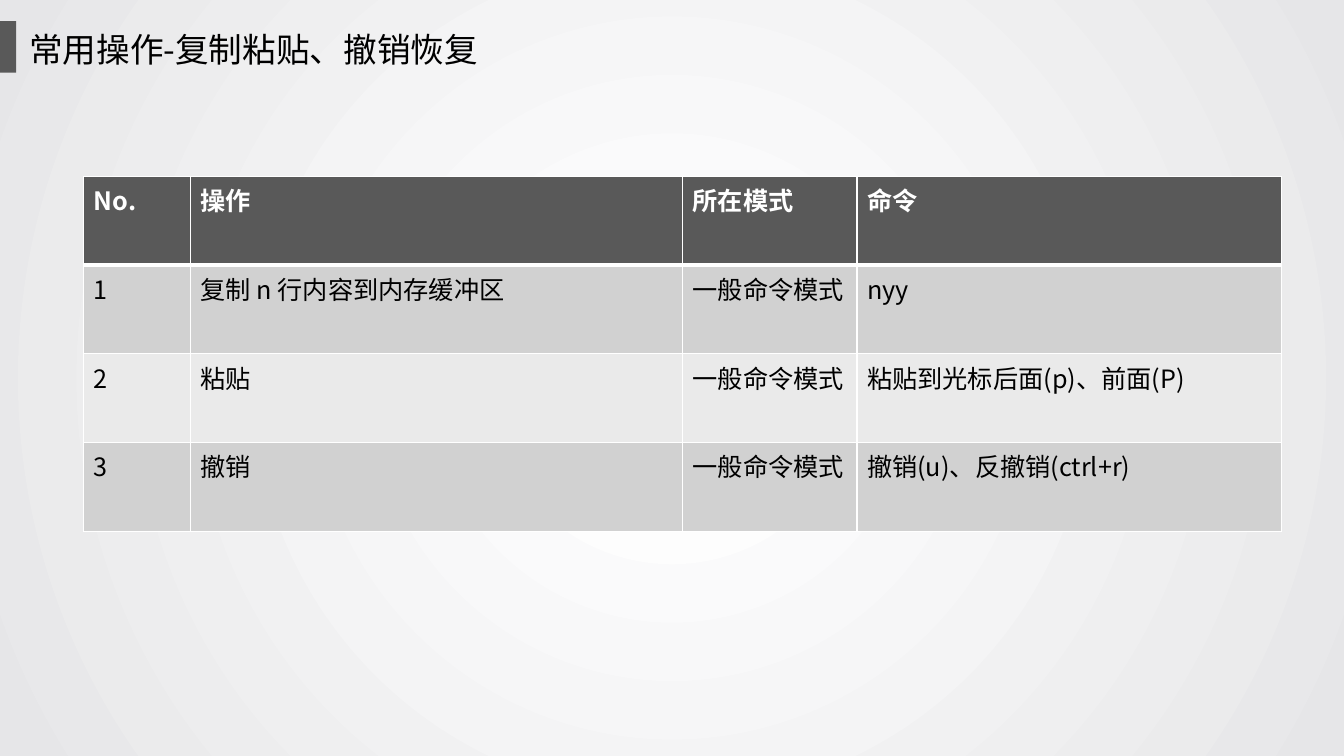
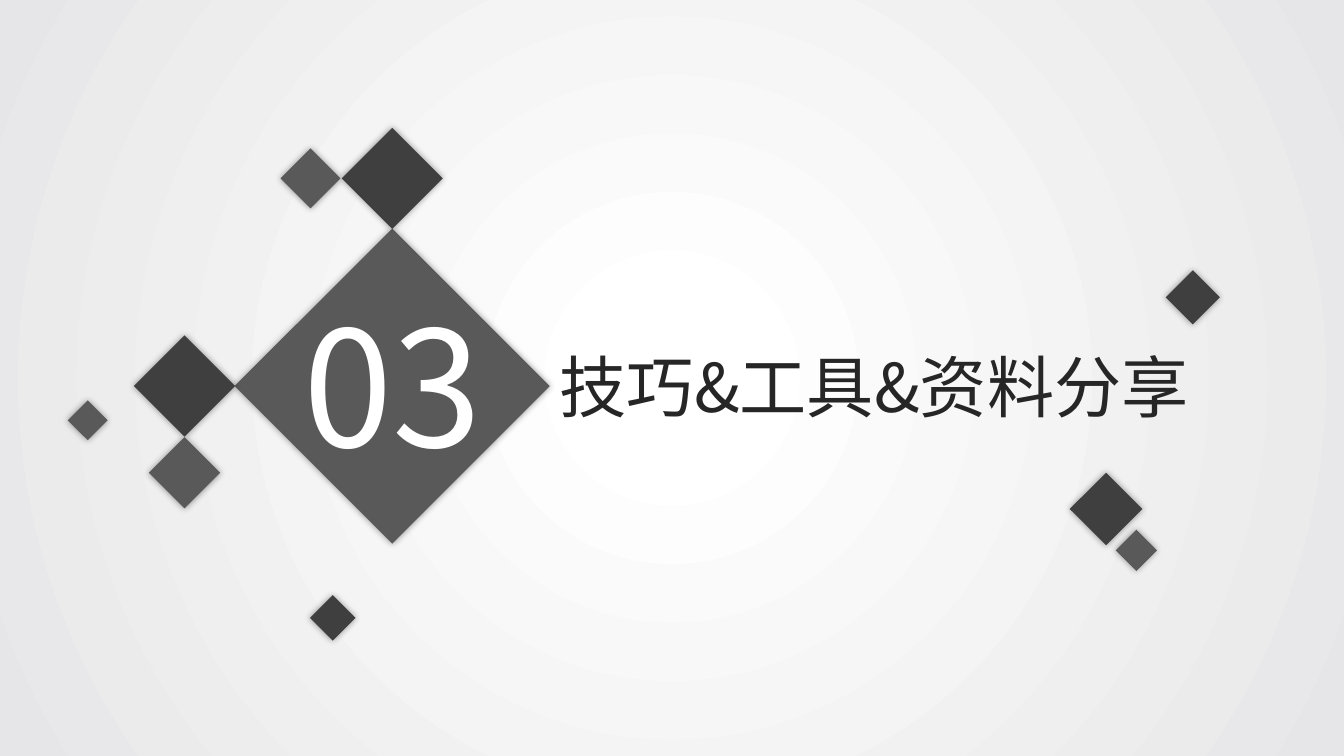
"""Build two slides: a table of editor commands and a section opener."""
from lxml import etree
from pptx import Presentation
from pptx.dml.color import RGBColor
from pptx.enum import shapes, text
from pptx.oxml import ns
from pptx.util import Inches, Pt

FONT = "Noto Sans CJK SC"
COLORS = {"white": "FFFFFF", "edge": "E6E6E8", "black": "000000",
          "ink": "262626", "dark": "3F3F3F", "gray": "595959",
          "odd": "D1D1D1", "even": "EAEAEA"}

COMMANDS = {
    "title": "常用操作-复制粘贴、撤销恢复",
    "rows": [
        ("No.", "操作", "所在模式", "命令"),
        ("1", "复制 n 行内容到内存缓冲区", "一般命令模式", "nyy"),
        ("2", "粘贴", "一般命令模式", "粘贴到光标后面(p)、前面(P)"),
        ("3", "撤销", "一般命令模式", "撤销(u)、反撤销(ctrl+r)"),
    ],
    "widths": (1.06, 4.88, 1.73, 4.21),
    "row_height": 0.88,
}
SECTION = {
    "number": "03",
    "title": "技巧&工具&资料分享",
    "diamonds": [
        (3.89, 3.83, 2.21, "gray"), (3.89, 1.77, 0.71, "dark"),
        (1.83, 3.83, 0.71, "dark"), (1.83, 4.69, 0.5, "gray"),
        (3.08, 1.77, 0.42, "gray"), (0.87, 4.17, 0.28, "gray"),
        (3.3, 6.13, 0.32, "dark"), (10.97, 5.05, 0.51, "dark"),
        (11.27, 5.46, 0.29, "gray"), (11.83, 2.95, 0.38, "dark"),
    ],
}


def rgb(name):
    return RGBColor.from_string(COLORS[name])


def child(parent, tag, **attrs):
    return etree.SubElement(parent, ns.qn(tag), attrs)


def set_background(master):
    fill = master.background.fill
    fill.gradient()
    for stop, (position, color) in zip(fill.gradient_stops, ((0.09, "white"), (1, "edge"))):
        stop.position = position
        stop.color.rgb = rgb(color)
    lin = master.element.find(".//" + ns.qn("a:lin"))
    circle = child(lin.getparent(), "a:path")
    circle.set("path", "circle")
    child(circle, "a:fillToRect", l="50000", t="50000", r="50000", b="50000")
    lin.getparent().remove(lin)


def write(tf, content, size, color, bold=False, align=text.PP_ALIGN.LEFT):
    p = tf.paragraphs[0]
    p.alignment = align
    r = p.add_run()
    r.text = content
    r.font.name, r.font.size, r.font.bold = FONT, Pt(size), bold
    r.font.color.rgb = rgb(color)
    child(r.font._element, "a:ea", typeface=FONT)


def place(sp, *box):
    sp.left, sp.top, sp.width, sp.height = map(Inches, box)


def add_titled_slide(prs, title, box, size, color):
    s = prs.slides.add_slide(prs.slide_layouts[5])
    place(s.shapes.title, *box)
    tf = s.shapes.title.text_frame
    tf.word_wrap = True
    tf.auto_size = text.MSO_AUTO_SIZE.NONE
    tf.vertical_anchor = text.MSO_ANCHOR.TOP
    write(tf, title, size, color)
    return s


def add_block(s, box, color):
    sp = s.shapes.add_shape(shapes.MSO_SHAPE.RECTANGLE, *map(Inches, box))
    sp.shadow.inherit = False
    sp.fill.solid()
    sp.fill.fore_color.rgb = rgb(color)
    sp.line.fill.background()
    return sp


def add_diamond(s, x, y, side, color):
    sp = add_block(s, (x - side / 2, y - side / 2, side, side), color)
    sp.rotation = 45
    effects = sp._element.spPr.find(ns.qn("a:effectLst"))
    shadow = child(effects, "a:outerShdw", blurRad=str(Pt(5)), algn="ctr", rotWithShape="0")
    tone = child(shadow, "a:srgbClr", val=COLORS["black"])
    child(tone, "a:alpha", val="40000")


def format_cell(cell, content, row):
    header = row == 0
    cell.fill.solid()
    cell.fill.fore_color.rgb = rgb("gray" if header else "odd" if row % 2 else "even")
    write(cell.text_frame, content, 18, "white" if header else "black", header)
    tc_pr = cell._tc.get_or_add_tcPr()
    for i, side in enumerate("LRTB"):
        thick = (header and side == "B") or (row == 1 and side == "T")
        line = etree.Element(ns.qn("a:ln" + side), w=str(Pt(3 if thick else 1)))
        child(child(line, "a:solidFill"), "a:srgbClr", val=COLORS["white"])
        tc_pr.insert(i, line)


def add_commands(prs):
    s = add_titled_slide(prs, COMMANDS["title"], (0.19, 0.24, 4.94, 0.5), 24, "black")
    add_block(s, (0, 0.21, 0.16, 0.51), "gray")
    rows, widths, height = COMMANDS["rows"], COMMANDS["widths"], COMMANDS["row_height"]
    box = (0.83, 1.75, sum(widths), height * len(rows))
    table = s.shapes.add_table(len(rows), len(widths), *map(Inches, box)).table
    for column, width in zip(table.columns, widths):
        column.width = Inches(width)
    for i, row in enumerate(rows):
        for j, content in enumerate(row):
            format_cell(table.cell(i, j), content, i)


def add_section(prs):
    s = add_titled_slide(prs, SECTION["title"], (5.45, 3.38, 6.9, 0.91), 48, "ink")
    for diamond in SECTION["diamonds"]:
        add_diamond(s, *diamond)
    sp = s.shapes.add_textbox(*map(Inches, (2.68, 2.79, 2.43, 2.04)))
    sp.text_frame.word_wrap = False
    write(sp.text_frame, SECTION["number"], 115, "white", align=text.PP_ALIGN.CENTER)


def main():
    prs = Presentation()
    prs.slide_width, prs.slide_height = Inches(13.33), Inches(7.5)
    set_background(prs.slide_master)
    add_commands(prs)
    add_section(prs)
    prs.save("out.pptx")


if __name__ == "__main__":
    main()
